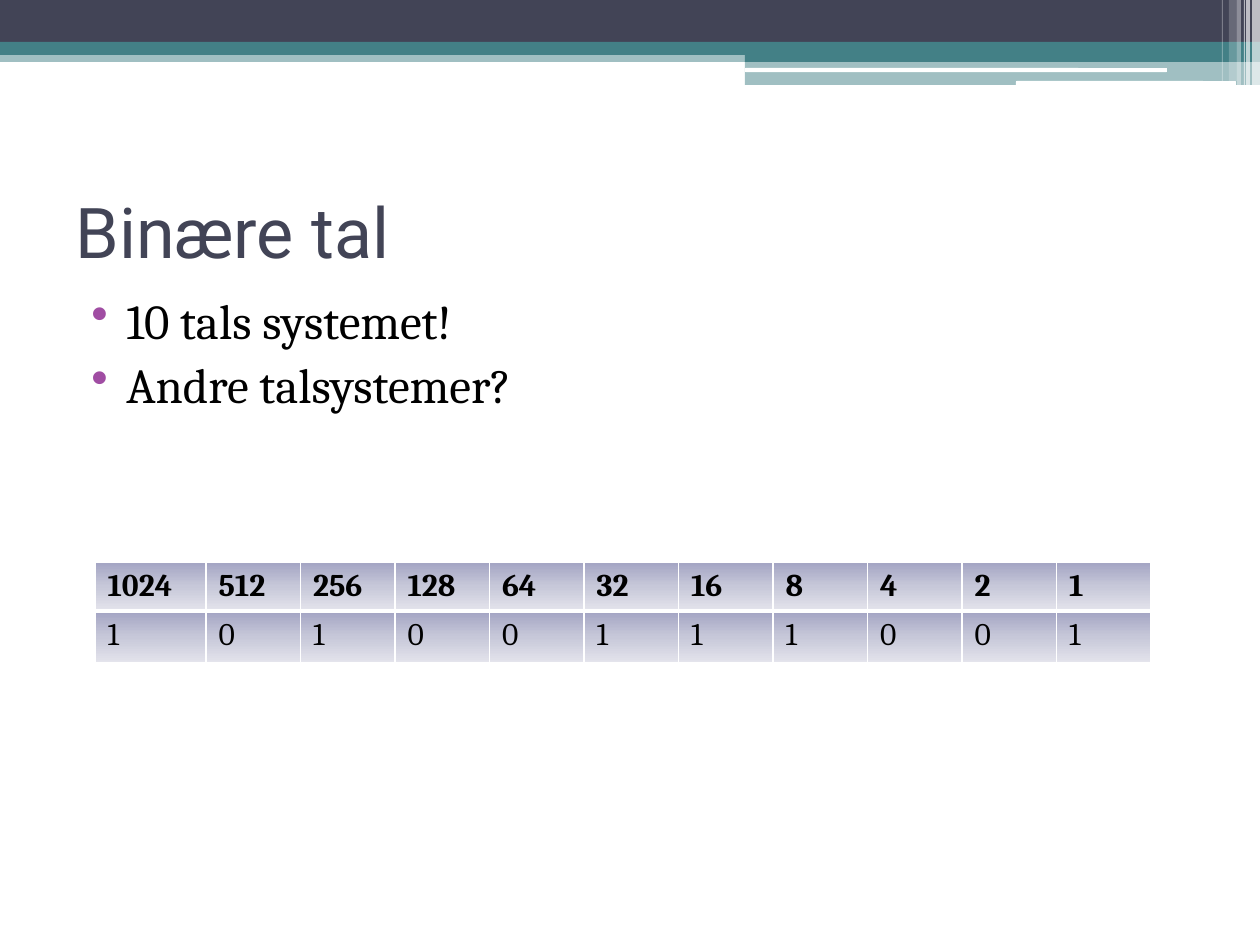
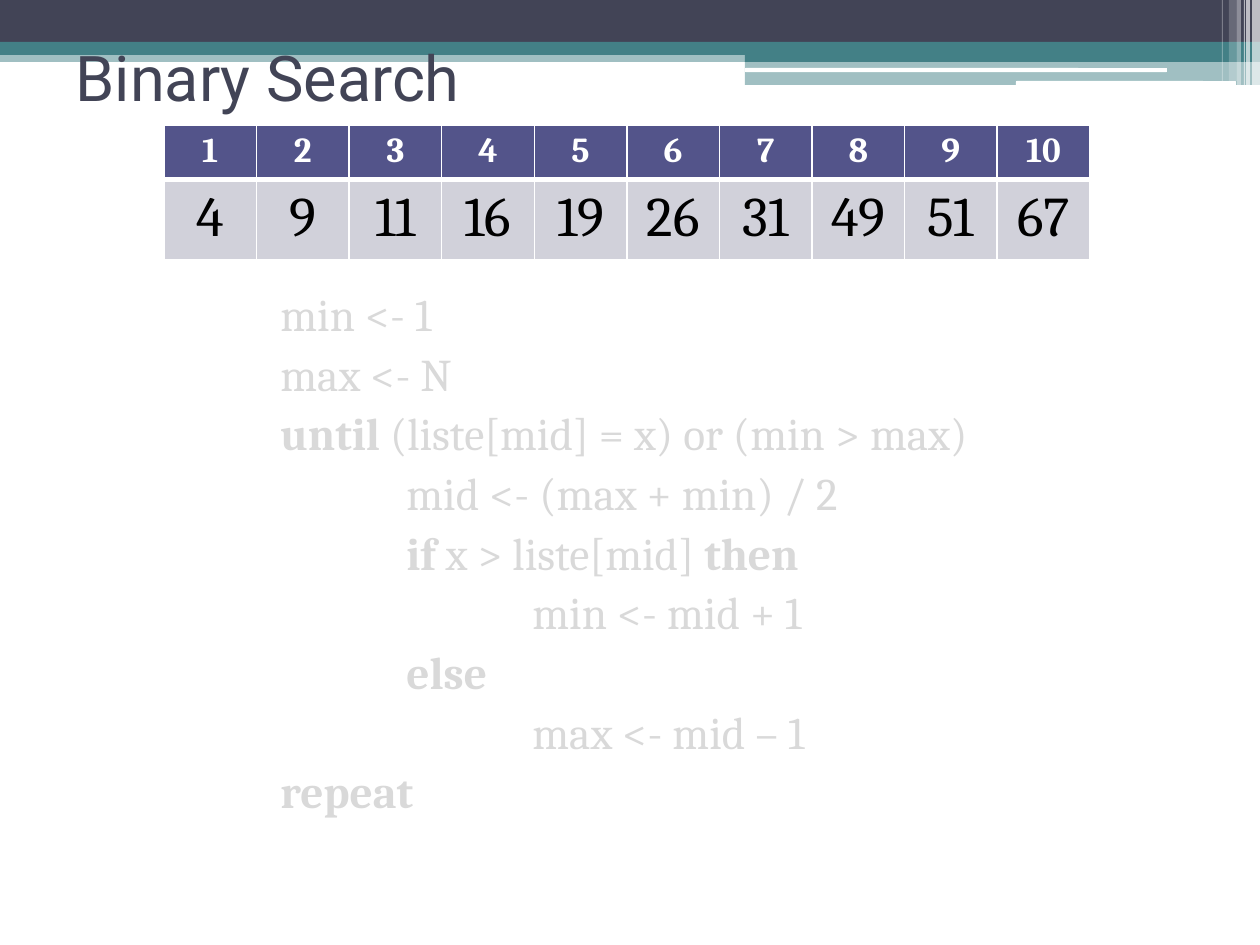
import dataclasses
import typing

import lxml.etree
import pptx
import pptx.dml.color
import pptx.enum.shapes
import pptx.enum.text
import pptx.oxml.ns
import pptx.shapes.autoshape
import pptx.slide
import pptx.table
import pptx.text.text
import pptx.util

EMU_PER_PX = 914400 / 126
SLIDE_W, SLIDE_H = 1260, 945
TITLE_ONLY = 5
INDENT = 126

SHAPES = pptx.enum.shapes.MSO_SHAPE
ALIGN = pptx.enum.text.PP_ALIGN
qn = pptx.oxml.ns.qn


@dataclasses.dataclass(frozen=True)
class Theme:
    heading_font: str = "Roboto"
    body_font: str = "Cambria"
    dark: str = "424456"
    teal: str = "438086"
    white: str = "FFFFFF"
    black: str = "000000"
    bullet: str = "A04DA3"
    faded: str = "D9D9D9"
    header_fill: str = "53548A"
    value_fill: str = "D1D1DA"
    gradient: tuple[str, ...] = ("A3A4C3", "C7C8D9", "E4E4EC")
    title_size: float = 40
    small_title_size: float = 36
    bullet_size: float = 28
    code_size: float = 25.9
    bits_size: float = 18
    index_size: float = 20
    value_size: float = 32
    space_before: float = 3
    thin_line: float = 1
    thick_line: float = 3


THEME = Theme()


class Box(typing.NamedTuple):
    left: int
    top: int
    width: int
    height: int

    def emu(self) -> list[pptx.util.Emu]:
        return [px(v) for v in self]


class Band(typing.NamedTuple):
    box: Box
    color: str
    opacity: int = 100
    rounded: bool = False


class RowStyle(typing.NamedTuple):
    height: int
    fills: tuple[str, ...]
    size: float
    color: str
    bold: bool


class CodeLine(typing.NamedTuple):
    level: int
    runs: tuple[tuple[str, bool], ...]


BANDS = (
    Band(Box(0, 50, SLIDE_W, 12), THEME.teal, 50),
    Band(Box(0, 0, SLIDE_W, 42), THEME.dark),
    Band(Box(0, 42, SLIDE_W, 13), THEME.teal),
    Band(Box(745, 49, 515, 13), THEME.teal),
    Band(Box(745, 61, 515, 24), THEME.teal, 50),
    Band(Box(745, 68, 422, 4), THEME.white, rounded=True),
    Band(Box(1016, 81, 220, 5), THEME.white, rounded=True),
    Band(Box(1252, 0, 8, 86), THEME.white, 65),
    Band(Box(1246, 0, 4, 86), THEME.white, 65),
    Band(Box(1244, 0, 1, 86), THEME.white, 60),
    Band(Box(1237, 0, 4, 86), THEME.white, 40),
    Band(Box(1229, 0, 8, 81), THEME.white, 20),
    Band(Box(1222, 0, 1, 81), THEME.white, 30),
)

BULLETS = ("10 tals systemet!", "Andre talsystemer?")
BITS = "10100111001"
POWERS = [str(2 ** n) for n in reversed(range(len(BITS)))]
SORTED_LIST = ["4", "9", "11", "16", "19", "26", "31", "49", "51", "67"]
POSITIONS = [str(n) for n in range(1, len(SORTED_LIST) + 1)]

BINARY_SEARCH = (
    CodeLine(0, (("min <- 1", False),)),
    CodeLine(0, (("max <- N", False),)),
    CodeLine(0, (("until ", True), ("(liste[mid] = x) or (min > max)", False))),
    CodeLine(1, (("mid <- (max + min) / 2", False),)),
    CodeLine(1, (("if", True), (" x > liste[mid] ", False), ("then", True))),
    CodeLine(2, (("min <- mid + 1", False),)),
    CodeLine(1, (("else", True),)),
    CodeLine(2, (("max <- mid – 1", False),)),
    CodeLine(0, (("repeat", True),)),
)


def px(value: float) -> pptx.util.Emu:
    return pptx.util.Emu(round(value * EMU_PER_PX))


def rgb(color: str) -> pptx.dml.color.RGBColor:
    return pptx.dml.color.RGBColor.from_string(color)


def set_font(font: pptx.text.text.Font, name: str, size: float, color: str) -> None:
    font.name = name
    font.size = pptx.util.Pt(size)
    font.color.rgb = rgb(color)


def draw_band(slide: pptx.slide.Slide, band: Band) -> None:
    kind = SHAPES.ROUNDED_RECTANGLE if band.rounded else SHAPES.RECTANGLE
    sp = slide.shapes.add_shape(kind, *band.box.emu())
    sp.shadow.inherit = False
    sp.line.fill.background()
    sp.fill.solid()
    sp.fill.fore_color.rgb = rgb(band.color)
    if band.opacity < 100:
        clr = sp.element.spPr.find(".//" + qn("a:srgbClr"))
        lxml.etree.SubElement(clr, qn("a:alpha"), val=str(band.opacity * 1000))


def add_slide(prs: pptx.Presentation, title: str, box: Box, size: float) -> pptx.slide.Slide:
    """Add a slide with the shared bands and its title in front of them."""
    slide = prs.slides.add_slide(prs.slide_layouts[TITLE_ONLY])
    for band in BANDS:
        draw_band(slide, band)
    sp = slide.shapes.title
    sp.left, sp.top, sp.width, sp.height = box.emu()
    slide.shapes.element.append(sp.element)
    tf = sp.text_frame
    tf.text = title
    tf.vertical_anchor = pptx.enum.text.MSO_ANCHOR.MIDDLE
    p = tf.paragraphs[0]
    p.alignment = ALIGN.LEFT
    set_font(p.font, THEME.heading_font, size, THEME.dark)
    return slide


def add_body(slide: pptx.slide.Slide, box: Box, count: int, size: float,
             color: str) -> list[pptx.text.text._Paragraph]:
    """Add a text box and return its styled, still empty paragraphs."""
    tf = slide.shapes.add_textbox(*box.emu()).text_frame
    tf.word_wrap = True
    for _ in range(count - 1):
        tf.add_paragraph()
    for p in tf.paragraphs:
        p.space_before = pptx.util.Pt(THEME.space_before)
        set_font(p.font, THEME.body_font, size, color)
    return list(tf.paragraphs)


def set_bullet(p: pptx.text.text._Paragraph) -> None:
    pPr = p._p.get_or_add_pPr()
    pPr.set("marL", str(px(50)))
    pPr.set("indent", str(px(-35)))
    clr = lxml.etree.Element(qn("a:buClr"))
    lxml.etree.SubElement(clr, qn("a:srgbClr"), val=THEME.bullet)
    char = lxml.etree.Element(qn("a:buChar"), char="•")
    font_props = pPr.find(qn("a:defRPr"))
    font_props.addprevious(clr)
    font_props.addprevious(char)


def set_borders(cell: pptx.table._Cell, top: float, bottom: float) -> None:
    tcPr = cell._tc.get_or_add_tcPr()
    widths = {"L": THEME.thin_line, "R": THEME.thin_line, "T": top, "B": bottom}
    for side, width in widths.items():
        ln = lxml.etree.SubElement(tcPr, qn(f"a:ln{side}"), w=str(pptx.util.Pt(width)))
        fill = lxml.etree.SubElement(ln, qn("a:solidFill"))
        lxml.etree.SubElement(fill, qn("a:srgbClr"), val=THEME.white)


def fill_cell(cell: pptx.table._Cell, colors: tuple[str, ...]) -> None:
    """Fill with one colour, or with evenly spaced stops from top to bottom."""
    if len(colors) == 1:
        cell.fill.solid()
        cell.fill.fore_color.rgb = rgb(colors[0])
        return
    grad = lxml.etree.SubElement(cell._tc.get_or_add_tcPr(), qn("a:gradFill"))
    stops = lxml.etree.SubElement(grad, qn("a:gsLst"))
    for i, color in enumerate(colors):
        pos = str(100000 * i // (len(colors) - 1))
        gs = lxml.etree.SubElement(stops, qn("a:gs"), pos=pos)
        lxml.etree.SubElement(gs, qn("a:srgbClr"), val=color)
    lxml.etree.SubElement(grad, qn("a:lin"), ang="5400000", scaled="0")


def add_number_table(slide: pptx.slide.Slide, left: int, top: int, col_widths: list[float],
                     rows: list[list[str]], styles: tuple[RowStyle, ...],
                     align: ALIGN) -> None:
    height = sum(style.height for style in styles)
    frame = slide.shapes.add_table(len(rows), len(col_widths), px(left), px(top),
                                   px(sum(col_widths)), px(height))
    table = frame.table
    table.horz_banding = False
    for col, width in zip(table.columns, col_widths):
        col.width = px(width)
    for i, (row, values, style) in enumerate(zip(table.rows, rows, styles)):
        row.height = px(style.height)
        top_line = THEME.thick_line if i else THEME.thin_line
        bottom_line = THEME.thin_line if i else THEME.thick_line
        for cell, value in zip(row.cells, values):
            set_borders(cell, top_line, bottom_line)
            fill_cell(cell, style.fills)
            cell.text = value
            p = cell.text_frame.paragraphs[0]
            p.alignment = align
            set_font(p.font, THEME.body_font, style.size, style.color)
            p.font.bold = style.bold


def build_binary_numbers(prs: pptx.Presentation) -> None:
    slide = add_slide(prs, "Binære tal", Box(63, 157, 1134, 147), THEME.title_size)
    styles = (
        RowStyle(48, THEME.gradient, THEME.bits_size, THEME.black, True),
        RowStyle(52, THEME.gradient, THEME.bits_size, THEME.black, False),
    )
    others = len(BITS) - 1
    add_number_table(slide, 95, 562, [111] + [945 / others] * others,
                     [POWERS, list(BITS)], styles, ALIGN.LEFT)
    paragraphs = add_body(slide, Box(64, 284, 1134, 596), len(BULLETS),
                          THEME.bullet_size, THEME.black)
    for p, text in zip(paragraphs, BULLETS):
        p.add_run().text = text
        set_bullet(p)


def build_binary_search(prs: pptx.Presentation) -> None:
    slide = add_slide(prs, "Binary Search", Box(63, 31, 1134, 91), THEME.small_title_size)
    paragraphs = add_body(slide, Box(268, 280, 780, 564), len(BINARY_SEARCH),
                          THEME.code_size, THEME.faded)
    for p, line in zip(paragraphs, BINARY_SEARCH):
        p._p.get_or_add_pPr().set("marL", str(px(line.level * INDENT)))
        for text, bold in line.runs:
            r = p.add_run()
            r.text = text
            r.font.bold = bold
    styles = (
        RowStyle(54, (THEME.header_fill,), THEME.index_size, THEME.white, True),
        RowStyle(77, (THEME.value_fill,), THEME.value_size, THEME.black, False),
    )
    count = len(SORTED_LIST)
    add_number_table(slide, 164, 125, [926 / count] * count,
                     [POSITIONS, SORTED_LIST], styles, ALIGN.CENTER)


def main() -> None:
    prs = pptx.Presentation()
    prs.slide_width, prs.slide_height = px(SLIDE_W), px(SLIDE_H)
    build_binary_numbers(prs)
    build_binary_search(prs)
    prs.save("out.pptx")


if __name__ == "__main__":
    main()
